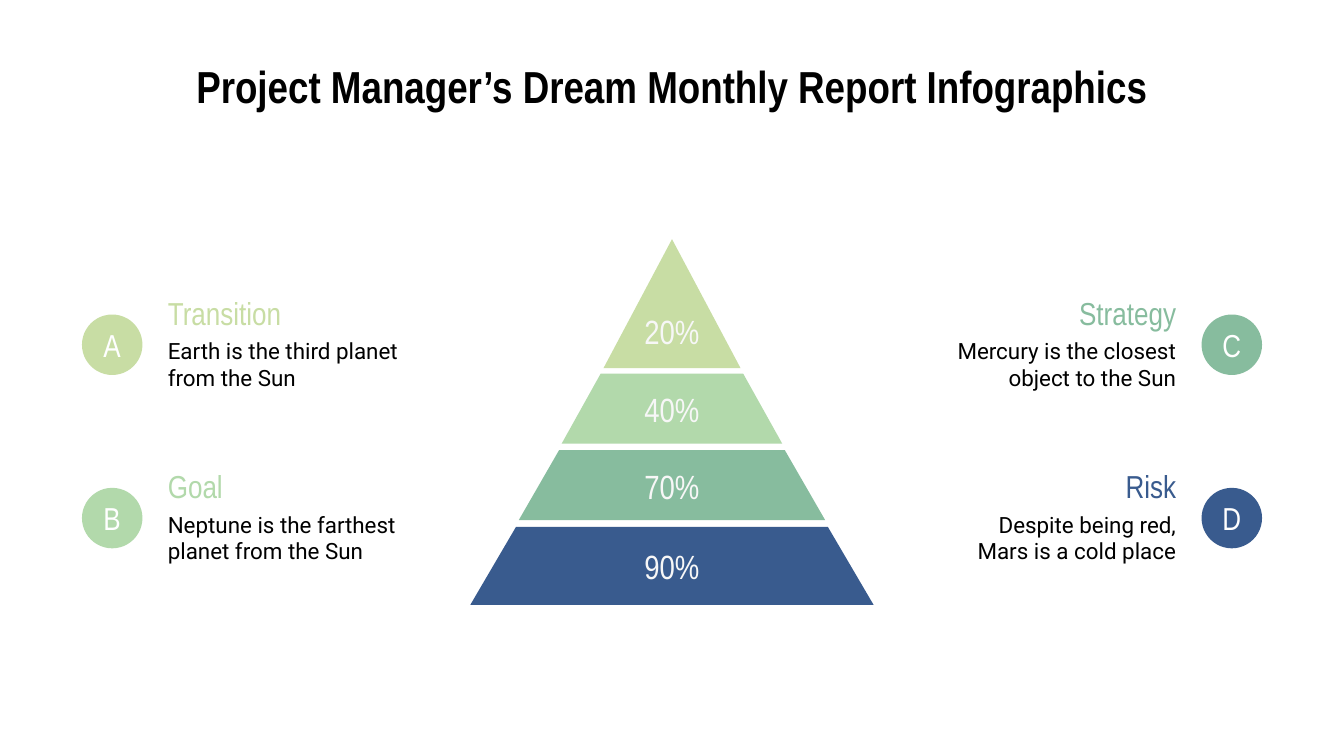
import pptx
import pptx.dml.color
import pptx.enum.shapes
import pptx.enum.text
import pptx.util

Inches = pptx.util.Inches
ALIGN = pptx.enum.text.PP_ALIGN
ANCHOR = pptx.enum.text.MSO_ANCHOR

HEADING_FONT, BODY_FONT = "Arial Narrow", "Roboto"
LIME, MINT, GREEN, BLUE = "C8DDA4", "B2D9AB", "87BC9E", "395B8E"
SLIDE_WIDTH = 10
SLIDE_HEIGHT = SLIDE_WIDTH * 9 / 16
CENTER_X = SLIDE_WIDTH / 2

# Pyramid tiers: share, colour, top, bottom, half width at top and bottom, label top
TIERS = [
    ("20%", LIME, 1.78, 2.74, 0, 0.51, 2.23),
    ("40%", MINT, 2.78, 3.30, 0.53, 0.82, 2.81),
    ("70%", GREEN, 3.35, 3.87, 0.84, 1.14, 3.38),
    ("90%", BLUE, 3.92, 4.50, 1.16, 1.50, 3.98),
]

# Columns: badge left, text left, alignment, and items from top to bottom
COLUMNS = [
    (0.61, 1.15, ALIGN.LEFT, [
        ("A", LIME, "Transition", "Earth is the third planet from the Sun"),
        ("B", MINT, "Goal", "Neptune is the farthest planet from the Sun"),
    ]),
    (8.94, 6.80, ALIGN.RIGHT, [
        ("C", GREEN, "Strategy", "Mercury is the closest object to the Sun"),
        ("D", BLUE, "Risk", "Despite being red,\nMars is a cold place"),
    ]),
]
ROW_TOP, ROW_STEP = 2.09, 1.29


def rgb(color):
    return pptx.dml.color.RGBColor.from_string(color)


def write_text(shape, text, font, size, color, align, anchor=ANCHOR.MIDDLE,
               side_margin=0.1, bold=False):
    frame = shape.text_frame
    frame_format = {
        "word_wrap": True, "vertical_anchor": anchor,
        "margin_left": Inches(side_margin), "margin_right": Inches(side_margin),
        "margin_top": Inches(0.1), "margin_bottom": Inches(0.1),
    }
    for name, value in frame_format.items():
        setattr(frame, name, value)
    paragraph = frame.paragraphs[0]
    paragraph.text = text
    paragraph.alignment = align
    font_format = {"name": font, "size": pptx.util.Pt(size), "bold": bold}
    for run in paragraph.runs:
        for name, value in font_format.items():
            setattr(run.font, name, value)
        run.font.color.rgb = rgb(color)


def add_text(slide, box, *text_args, **text_format):
    label = slide.shapes.add_textbox(*map(Inches, box))
    write_text(label, *text_args, **text_format)


def paint(shape, color):
    shape.shadow.inherit = False
    shape.fill.solid()
    shape.fill.fore_color.rgb = rgb(color)
    shape.line.fill.background()


def add_tier(slide, color, top, bottom, half_top, half_bottom):
    corners = [(Inches(CENTER_X + dx), Inches(y)) for dx, y in (
        (-half_top, top), (-half_bottom, bottom),
        (half_bottom, bottom), (half_top, top))]
    outline = slide.shapes.build_freeform(*corners[0])
    outline.add_line_segments(corners[1:], close=True)
    paint(outline.convert_to_shape(), color)


def add_badge(slide, letter, color, left, top):
    badge = slide.shapes.add_shape(
        pptx.enum.shapes.MSO_SHAPE.OVAL,
        Inches(left), Inches(top), Inches(0.45), Inches(0.45))
    paint(badge, color)
    write_text(badge, letter, HEADING_FONT, 17, "FFFFFF", ALIGN.CENTER,
               side_margin=0)


def add_item(slide, item, badge_left, text_left, align, top):
    letter, color, heading, description = item
    add_text(slide, (text_left, top, 2.05, 0.47),
             heading, HEADING_FONT, 17, color, align)
    add_text(slide, (text_left, top + 0.33, 2.05, 0.58),
             description, BODY_FONT, 12, "000000", align)
    add_badge(slide, letter, color, badge_left, top + 0.25)


def main():
    deck = pptx.Presentation()
    deck.slide_width = Inches(SLIDE_WIDTH)
    deck.slide_height = Inches(SLIDE_HEIGHT)
    slide = deck.slides.add_slide(deck.slide_layouts[6])

    # Title
    add_text(slide, (0.2, 0.34, 9.6, 0.63),
             "Project Manager’s Dream Monthly Report Infographics",
             HEADING_FONT, 24, "000000", ALIGN.CENTER,
             anchor=ANCHOR.TOP, bold=True)

    # Pyramid with its shares
    for share, color, top, bottom, half_top, half_bottom, label_top in TIERS:
        add_tier(slide, color, top, bottom, half_top, half_bottom)
        add_text(slide, (CENTER_X - 0.47, label_top, 0.94, 0.47),
                 share, HEADING_FONT, 18, "F7F7F7", ALIGN.CENTER)

    # Lettered items on both sides
    for badge_left, text_left, align, items in COLUMNS:
        for row, item in enumerate(items):
            add_item(slide, item, badge_left, text_left, align,
                     ROW_TOP + row * ROW_STEP)

    deck.save("out.pptx")


if __name__ == "__main__":
    main()
